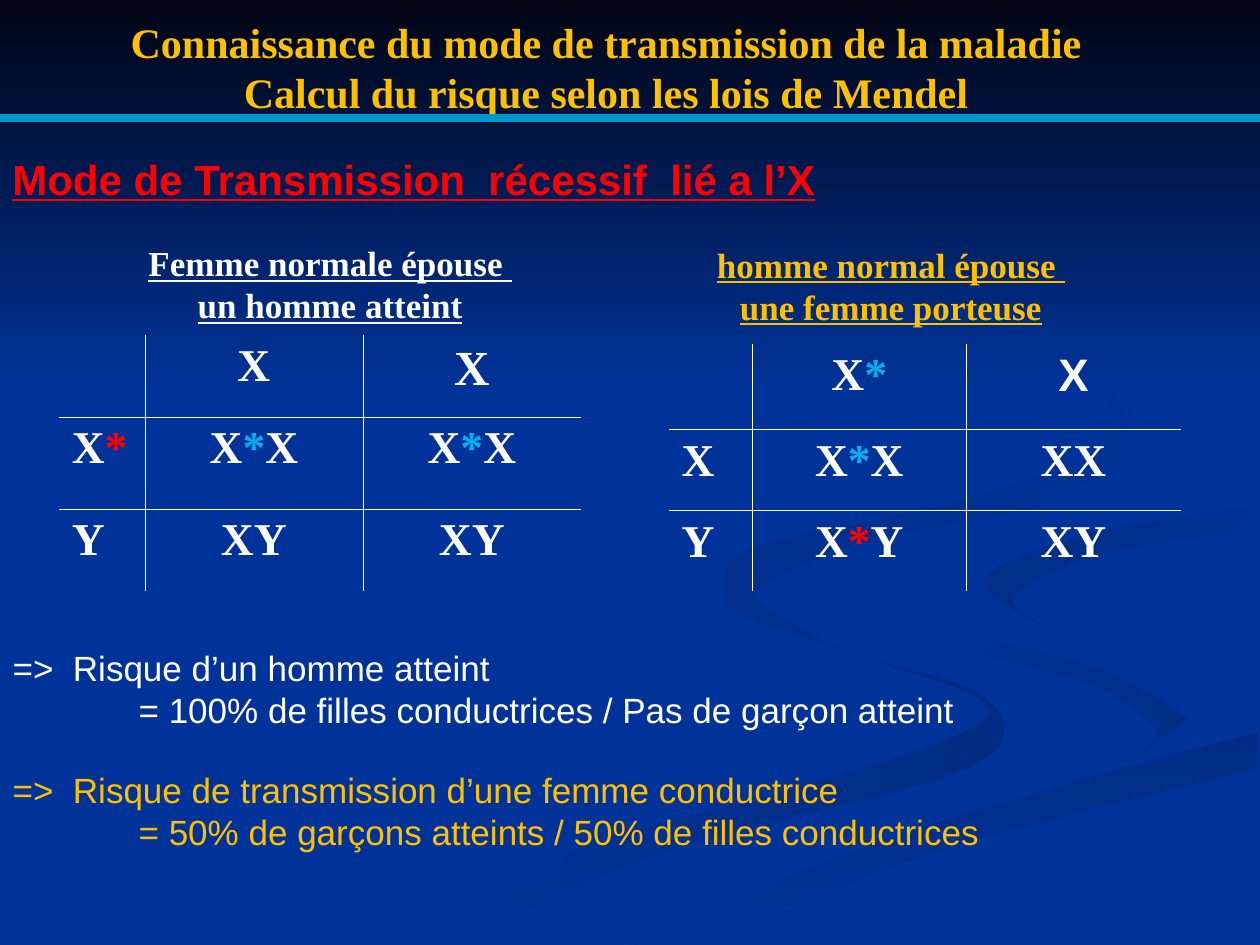
import itertools
from dataclasses import dataclass
from typing import Any

import lxml.etree
import pptx
import pptx.dml.color
import pptx.enum.shapes
import pptx.enum.text
import pptx.oxml
import pptx.oxml.ns
import pptx.util

RGB = pptx.dml.color.RGBColor
NAVY = RGB(0x00, 0x33, 0x99)
NIGHT = RGB(0x00, 0x05, 0x14)
SHADE = RGB(0x00, 0x2C, 0x84)
TEAL = RGB(0x00, 0x98, 0xCC)
GOLD = RGB(0xFF, 0xC0, 0x00)
WHITE = RGB(0xFF, 0xFF, 0xFF)
RED = RGB(0xFF, 0x00, 0x00)
SKY = RGB(0x00, 0xB0, 0xF0)
SANS, SERIF = "Arial", "Times New Roman"
WIDE, HIGH = pptx.util.Inches(10), pptx.util.Inches(7.5)
COLS = 100
UNIT = WIDE // COLS
FINE = UNIT / 10
STEPS = 6
PLAIN_GRID = "{2D5ABB26-0587-4C30-8999-92F81FD0307C}"
ALIGN = pptx.enum.text.PP_ALIGN
FRAME = {"word_wrap": True, "auto_size": pptx.enum.text.MSO_AUTO_SIZE.NONE,
         "vertical_anchor": pptx.enum.text.MSO_ANCHOR.TOP}
Point = tuple[float, float]


@dataclass
class Area:
    col: float
    row: float
    cols: float
    rows: float

    def box(self) -> list[int]:
        return [round(n * UNIT) for n in (self.col, self.row, self.cols, self.rows)]


@dataclass
class Face:
    name: str
    size: float
    color: RGB
    bold: bool = False
    line: bool = False


@dataclass
class Note:
    area: Area
    lines: list[str]
    face: Face
    align: Any = ALIGN.LEFT


@dataclass
class Cell:
    text: str = ""
    star: RGB = SKY
    name: str = SERIF
    size: float = 26


@dataclass
class Cross:
    area: Area
    widths: list[float]
    heights: list[float]
    cells: list[list[Cell]]


@dataclass
class Band:
    start: RGB
    end: RGB
    angle: int
    sides: list[list[Point]]


def dress(thing: Any, form: dict[str, Any]) -> None:
    for key, value in form.items():
        setattr(thing, key, value)


def tint(font: Any, face: Face) -> None:
    dress(font, {"name": face.name, "size": pptx.util.Pt(face.size),
                 "bold": face.bold, "underline": face.line})
    font.color.rgb = face.color


def set_tabs(props: Any) -> None:
    dress_marks = {"marL": "0", "indent": "0"}
    for key, value in dress_marks.items():
        props.set(key, value)
    name = pptx.oxml.ns.qn
    lxml.etree.SubElement(props, name("a:buNone"))
    tabs = lxml.etree.SubElement(props, name("a:tabLst"))
    for stop in (1, 2):
        lxml.etree.SubElement(tabs, name("a:tab"), pos=str(pptx.util.Inches(stop)), algn="l")


def write(shape: Any, note: Note) -> None:
    dress(shape, dict(zip(("left", "top", "width", "height"), note.area.box())))
    frame = shape.text_frame
    dress(frame, FRAME)
    for at, line in enumerate(note.lines):
        para = frame.add_paragraph() if at else frame.paragraphs[0]
        set_tabs(para._p.get_or_add_pPr())
        dress(para, {"alignment": note.align, "space_before": pptx.util.Pt(0)})
        run = para.add_run()
        run.text = line
        tint(run.font, note.face)


def edge(cell: Any, sides: list[str]) -> None:
    props = cell._tc.get_or_add_tcPr()
    for at, side in enumerate(sides):
        props.insert(at, pptx.oxml.parse_xml(
            f'<a:{side} {pptx.oxml.ns.nsdecls("a")} w="{pptx.util.Pt(0.45)}"><a:solidFill>'
            f'<a:srgbClr val="{WHITE}"/></a:solidFill></a:{side}>'))


def draw_cross(slide: Any, cross: Cross) -> None:
    rows, cols = len(cross.heights), len(cross.widths)
    table = slide.shapes.add_table(rows, cols, *cross.area.box()).table
    dress(table, {"first_row": False, "horz_banding": False})
    table._tbl.tblPr.find(pptx.oxml.ns.qn("a:tableStyleId")).text = PLAIN_GRID
    for col, width in zip(table.columns, cross.widths):
        col.width = round(width * UNIT)
    for row, height in zip(table.rows, cross.heights):
        row.height = round(height * UNIT)
    for r, c in itertools.product(range(rows), range(cols)):
        cell, data = table.cell(r, c), cross.cells[r][c]
        cell.fill.background()
        edge(cell, ["lnR"] * (c < cols - 1) + ["lnB"] * (r < rows - 1))
        para = cell.text_frame.paragraphs[0]
        para.alignment = ALIGN.CENTER if c else ALIGN.LEFT
        for star, part in itertools.groupby(data.text, lambda sign: sign == "*"):
            run = para.add_run()
            run.text = "".join(part)
            tint(run.font, Face(data.name, data.size, data.star if star else WHITE, True))


def bend(knots: list[Point]) -> list[Point]:
    ends = [knots[0], *knots, knots[-1]]
    curve = []
    for a, b, c, d in zip(ends, ends[1:], ends[2:], ends[3:]):
        for t in (step / STEPS for step in range(STEPS)):
            curve.append(tuple(
                q + t * (r - p + t * (2 * p - 5 * q + 4 * r - s + t * (3 * (q - r) + s - p))) / 2
                for p, q, r, s in zip(a, b, c, d)))
    return [*curve, knots[-1]]


def draw_band(slide: Any, master: Any, band: Band, mark: int) -> None:
    points = [point for side in band.sides for point in bend(side)]
    build = slide.shapes.build_freeform(*points[0], scale=FINE)
    build.add_line_segments(points[1:], close=True)
    shape = build.convert_to_shape()
    shape.shadow.inherit = False
    shape.line.fill.background()
    shape.fill.gradient()
    shape.fill.gradient_angle = 360 - band.angle
    for stop, color in zip(shape.fill.gradient_stops, (band.start, band.end)):
        stop.color.rgb = color
    shape._element.nvSpPr.cNvPr.set("id", str(mark))
    master.shapes._spTree.append(shape._element)


BANDS = [
    Band(NAVY, SHADE, 0, [
        [(575, 459), (587, 487), (679, 519), (786, 566), (652, 620), (458, 674), (300, 749)],
        [(361, 749), (532, 674), (769, 609), (781, 553), (661, 513), (575, 459)]]),
    Band(NAVY, SHADE, 45, [
        [(724, 464), (766, 512), (868, 544), (918, 581), (894, 605)],
        [(943, 570), (870, 530), (758, 498), (724, 464)]]),
    Band(SHADE, NAVY, 90, [
        [(503, 749), (571, 749), (722, 682), (998, 609)],
        [(998, 581), (764, 647), (599, 706), (503, 749)]]),
    Band(SHADE, NAVY, 45, [
        [(826, 496), (805, 472), (878, 439), (998, 420)],
        [(998, 402), (865, 424), (781, 460), (826, 496)]]),
    Band(SHADE, NAVY, 45, [
        [(762, 233), (855, 285), (886, 348), (763, 398), (605, 433), (577, 462), (622, 500)],
        [(593, 470), (683, 430), (841, 396), (893, 335), (843, 275), (762, 233)]]),
    Band(NIGHT, NAVY, 90, [[(0, 0), (1000, 0)], [(1000, 308), (0, 308)]]),
]

TITLE = Note(Area(6.3, 0.8, 83.6, 8.6),
             ["Connaissance du mode de transmission de la maladie",
              "Calcul du risque selon les lois de Mendel"],
             Face(SERIF, 24, GOLD, True), ALIGN.CENTER)
RISKS = [
    Note(Area(0, 50.8, 100, 7.7),
         ["=>  Risque d’un homme atteint",
          "\t\t= 100% de filles conductrices / Pas de garçon atteint"], Face(SANS, 20, WHITE)),
    Note(Area(0, 60.5, 97.7, 7.7),
         ["=>  Risque de transmission d’une femme conductrice",
          "\t\t= 50% de garçons atteints / 50% de filles conductrices"], Face(SANS, 20, GOLD)),
]
HEADS = [
    Note(Area(0, 11.7, 70.3, 5), ["Mode de Transmission  récessif  lié a l’X"],
         Face(SANS, 24, RED, True, True)),
    Note(Area(10.2, 18.7, 32, 11), ["Femme normale épouse ", "un homme atteint"],
         Face(SERIF, 20, WHITE, True, True), ALIGN.CENTER),
    Note(Area(53.1, 18.8, 35.2, 7.7), ["homme normal épouse ", "une femme porteuse"],
         Face(SERIF, 20, GOLD, True, True), ALIGN.CENTER),
]
TABLES = [
    Cross(Area(4.7, 26.6, 41.4, 20.3), [6.8, 17.3, 17.3], [6.5, 7.3, 6.5],
          [[Cell(), Cell("X"), Cell("X", size=28)],
           [Cell("X*", RED), Cell("X*X"), Cell("X*X")],
           [Cell("Y"), Cell("XY"), Cell("XY")]]),
    Cross(Area(53.1, 27.3, 40.6, 19.5), [6.6, 17, 17], [6.8, 6.4, 6.4],
          [[Cell(), Cell("X*"), Cell("X", name=SANS)],
           [Cell("X"), Cell("X*X"), Cell("XX")],
           [Cell("Y"), Cell("X*Y", RED), Cell("XY")]]),
]


def main() -> None:
    deck = pptx.Presentation()
    dress(deck, {"slide_width": WIDE, "slide_height": HIGH})
    slide = deck.slides.add_slide(deck.slide_layouts[3])
    slide.background.fill.solid()
    slide.background.fill.fore_color.rgb = NAVY
    for mark, band in enumerate(BANDS, 100):
        draw_band(slide, deck.slide_master, band, mark)
    level = round(9.4 * UNIT)
    rule = slide.shapes.add_connector(
        pptx.enum.shapes.MSO_CONNECTOR.STRAIGHT, 0, level, WIDE, level)
    rule.line.color.rgb = TEAL
    rule.line.width = pptx.util.Pt(4.5)
    lxml.etree.SubElement(rule._element.spPr, pptx.oxml.ns.qn("a:effectLst"))
    for holder, note in zip(slide.placeholders, [TITLE, *RISKS]):
        write(holder, note)
    for note in HEADS:
        write(slide.shapes.add_textbox(*note.area.box()), note)
    for cross in TABLES:
        draw_cross(slide, cross)
    deck.save("out.pptx")


if __name__ == "__main__":
    main()
